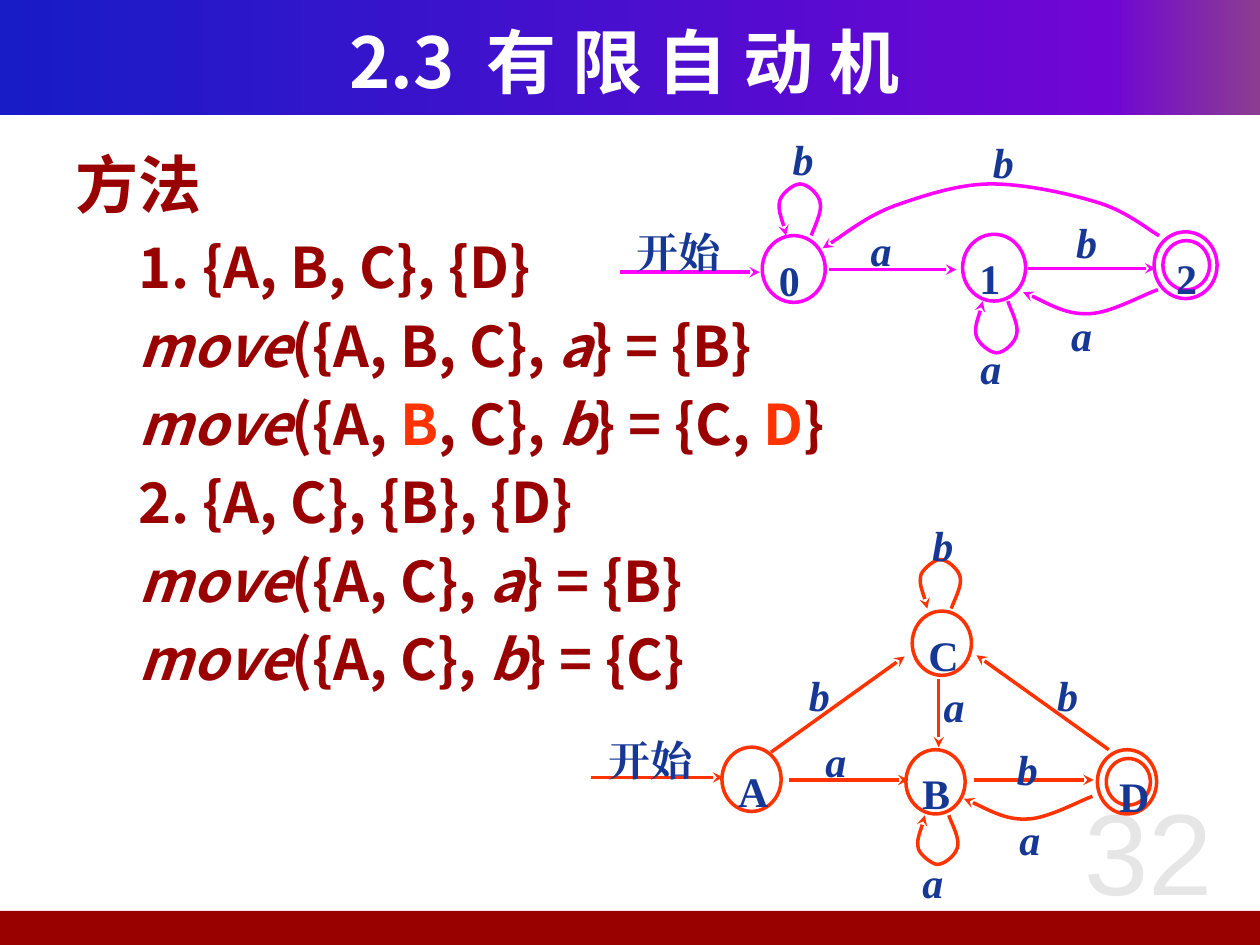
from typing import NamedTuple

from lxml.etree import SubElement
from pptx import Presentation
from pptx.dml.color import RGBColor
from pptx.enum.shapes import MSO_CONNECTOR, MSO_SHAPE
from pptx.enum.text import MSO_ANCHOR, PP_ALIGN
from pptx.oxml.ns import qn
from pptx.util import Emu, Pt

SCALE = 9144  # EMU per px, 100 px to the inch
COLORS = {"white": "FFFFFF", "dark_red": "990000", "orange": "FF3300", "magenta": "FF00FF",
          "navy": "163794", "gray": "E6E6E6"}
BANNER_STOPS = [(0, "181CC7"), (88000, "7005D4"), (100000, "8C3D91")]
CJK, TIMES = "Noto Sans CJK SC", "Times New Roman"
# Cubic curves: a start point, then three points for each segment
LOOP = [(0, 0), (1, -4), (9, -19), (7, -26), (6, -33), (-3, -41), (-9, -41),
        (-14, -41), (-23, -34), (-25, -28), (-27, -21), (-21, -6), (-20, 0)]
RETURN_ARC = [(0, 0), (-10, 3), (-38, 19), (-55, 19), (-73, 20), (-96, 6), (-107, 2)]
LONG_ARC = [(0, 0), (-8, -4), (-25, -19), (-48, -26), (-70, -33), (-106, -41), (-133, -41),
            (-159, -41), (-186, -32), (-209, -24), (-231, -16), (-255, 3), (-267, 10)]


class Node(NamedTuple):
    name: str
    x: int
    y: int
    final: bool = False


class Arrow(NamedTuple):
    x1: int
    y1: int
    x2: int
    y2: int


class Curve(NamedTuple):
    points: list
    x: int
    y: int
    flip: int = 1


class Label(NamedTuple):
    text: str
    x: int
    y: int
    width: int = 41
    italic: bool = True


class Automaton(NamedTuple):
    color: str
    node_size: tuple
    inner_size: tuple
    curve_scale: float
    nodes: list
    arrows: list
    curves: list
    labels: list


AUTOMATA = [
    Automaton(
        "magenta", (50, 53), (37, 39), 1,
        [Node("0", 605, 187), Node("1", 764, 186), Node("2", 916, 184, True)],
        [Arrow(492, 216, 603, 216), Arrow(658, 214, 759, 214), Arrow(816, 213, 917, 213)],
        [Curve(LOOP, 644, 187), Curve(LOOP, 800, 239, -1),
         Curve(RETURN_ARC, 919, 230), Curve(LONG_ARC, 920, 187)],
        [Label("开始", 499, 173, 81, False), Label("a", 685, 171), Label("a", 772, 265),
         Label("b", 848, 165), Label("b", 623, 99), Label("a", 844, 239), Label("b", 782, 101)]),
    Automaton(
        "orange", (47, 51), (35, 37), 0.95,
        [Node("A", 573, 593), Node("B", 719, 595), Node("C", 724, 485),
         Node("D", 871, 595, True)],
        [Arrow(469, 617, 574, 617), Arrow(626, 619, 721, 619), Arrow(773, 619, 868, 619),
         Arrow(612, 597, 718, 521), Arrow(745, 539, 745, 593), Arrow(880, 595, 775, 520)],
        [Curve(LOOP, 755, 483), Curve(LOOP, 753, 647, -1), Curve(RETURN_ARC, 867, 632)],
        [Label("开始", 477, 576, 82, False), Label("a", 649, 577), Label("a", 726, 673),
         Label("b", 801, 583), Label("b", 636, 524), Label("a", 803, 639),
         Label("b", 734, 405), Label("b", 833, 524), Label("a", 743, 533)]),
]

# Method lines; *...* is italic and [...] is highlighted
STEPS = ["1. {A, B, C}, {D}", "*move*({A, B, C}, *a*} = {B}",
         "*move*({A, [B], C}, *b*} = {C, [D]}", "2. {A, C}, {B}, {D}",
         "*move*({A, C}, *a*} = {B}", "*move*({A, C}, *b*} = {C}"]


def px(*values) -> list:
    return [Emu(round(v * SCALE)) for v in values]


def rgb(name: str) -> RGBColor:
    return RGBColor.from_string(COLORS[name])


def add_run(p, text: str, font: str, size: int, color: str, **formats) -> None:
    r = p.add_run()
    r.text = text
    for key, value in {"name": font, "size": Pt(size), **formats}.items():
        setattr(r.font, key, value)
    r.font.color.rgb = rgb(color)
    SubElement(r.font._element, qn("a:ea")).set("typeface", font)


def set_frame(sp, insets: tuple, anchor=MSO_ANCHOR.TOP):
    """Wrap the text, set insets (left, top, right, bottom) and return the first paragraph."""
    tf = sp.text_frame
    tf.word_wrap = True
    tf.vertical_anchor = anchor
    for side, value in zip(("left", "top", "right", "bottom"), px(*insets)):
        setattr(tf, f"margin_{side}", value)
    return tf.paragraphs[0]


def style_outline(sp, color: str, arrow: bool = False) -> None:
    sp.line.color.rgb = rgb(color)
    sp.line.width = Pt(2)
    if arrow:
        SubElement(sp.line._get_or_add_ln(), qn("a:tailEnd")).set("type", "stealth")
    SubElement(sp._element.spPr, qn("a:effectLst"))


def add_circle(shapes, x: int, y: int, size: tuple, color: str):
    sp = shapes.add_shape(MSO_SHAPE.OVAL, *px(x, y, *size))
    sp.fill.background()
    style_outline(sp, color)
    return sp


def add_node(shapes, node: Node, fa: Automaton) -> None:
    sp = add_circle(shapes, node.x, node.y, fa.node_size, fa.color)
    insets = (6, 7, 2, 5)
    if node.final:
        sp = add_circle(shapes, node.x + 7, node.y + 7, fa.inner_size, fa.color)
        insets = (5, 4, 1, 0)
    p = set_frame(sp, insets)
    p.alignment = PP_ALIGN.LEFT
    add_run(p, node.name, TIMES, 24, "navy", bold=True)


def add_curve(shapes, curve: Curve, scale: float, color: str) -> None:
    points = [(curve.x + dx * scale, curve.y + dy * scale * curve.flip)
              for dx, dy in curve.points]
    builder = shapes.build_freeform(*points[0], scale=SCALE)
    builder.add_line_segments(points[1:], close=False)
    sp = builder.convert_to_shape()
    outline = sp._element.xpath(".//a:path")[0]
    segments = outline.findall(qn("a:lnTo"))
    for i in range(0, len(segments), 3):
        bezier = SubElement(outline, qn("a:cubicBezTo"))
        for segment in segments[i:i + 3]:
            bezier.append(segment[0])
            outline.remove(segment)
    sp.fill.background()
    style_outline(sp, color, arrow=True)


def add_automaton(slide, fa: Automaton) -> None:
    shapes = slide.shapes.add_group_shape().shapes
    for node in fa.nodes:
        add_node(shapes, node, fa)
    for arrow in fa.arrows:
        line = shapes.add_connector(MSO_CONNECTOR.STRAIGHT, *px(*arrow))
        style_outline(line, fa.color, arrow=True)
    for curve in fa.curves:
        add_curve(shapes, curve, fa.curve_scale, fa.color)
    for label in fa.labels:
        p = set_frame(shapes.add_textbox(*px(label.x, label.y, label.width, 43)), (6, 7, 6, 3))
        add_run(p, label.text, TIMES, 24, "navy", bold=True, italic=label.italic)


def add_bars_and_title(slide) -> None:
    title = slide.shapes.title
    for box in ((0, 0, 1000, 91), (-4, 723, 1004, 27)):
        bar = slide.shapes.add_shape(MSO_SHAPE.RECTANGLE, *px(*box))
        bar.line.fill.background()
        bar.shadow.inherit = False
        title._element.addprevious(bar._element)
        if box[1] > 0:
            bar.fill.solid()
            bar.fill.fore_color.rgb = rgb("dark_red")
            continue
        bar.fill.gradient()
        bar.fill.gradient_angle = 0
        stops = bar._element.spPr.find(".//" + qn("a:gsLst"))
        stops.clear()
        for position, color in BANNER_STOPS:
            stop = SubElement(stops, qn("a:gs"), pos=str(position))
            SubElement(stop, qn("a:srgbClr"), val=color)
    title.left, title.top, title.width, title.height = px(33, 17, 925, 62)
    p = set_frame(title, (0, 0, 0, 0), MSO_ANCHOR.MIDDLE)
    p.alignment = PP_ALIGN.CENTER
    add_run(p, "2.3  有 限 自 动 机", CJK, 40, "white", bold=True)


def add_method(slide) -> None:
    sp = slide.shapes.add_textbox(*px(50, 107, 900, 574))
    p = set_frame(sp, (10, 5, 10, 5))
    p.line_spacing = Pt(46)
    add_run(p, "方法", CJK, 36, "dark_red", bold=True)
    for step in STEPS:
        p = sp.text_frame.add_paragraph()
        p.space_before, p.line_spacing = Pt(6.4), Pt(38.4)
        p._p.get_or_add_pPr().set("marL", str(px(50)[0]))
        for i, part in enumerate(step.split("*")):
            for j, text in enumerate(part.replace("]", "[").split("[")):
                if text:
                    add_run(p, text, CJK, 32, "orange" if j % 2 else "dark_red",
                            bold=True, italic=bool(i % 2))


def main() -> None:
    prs = Presentation()
    prs.slide_width, prs.slide_height = px(1000, 750)
    slide = prs.slides.add_slide(prs.slide_layouts[5])
    add_bars_and_title(slide)
    add_method(slide)
    p = set_frame(slide.shapes.add_textbox(*px(823, 603, 177, 142)), (10, 16, 10, 5))
    p.alignment = PP_ALIGN.CENTER
    add_run(p, "32", "Arial", 66, "gray")
    for fa in AUTOMATA:
        add_automaton(slide, fa)
    prs.save("out.pptx")


if __name__ == "__main__":
    main()
